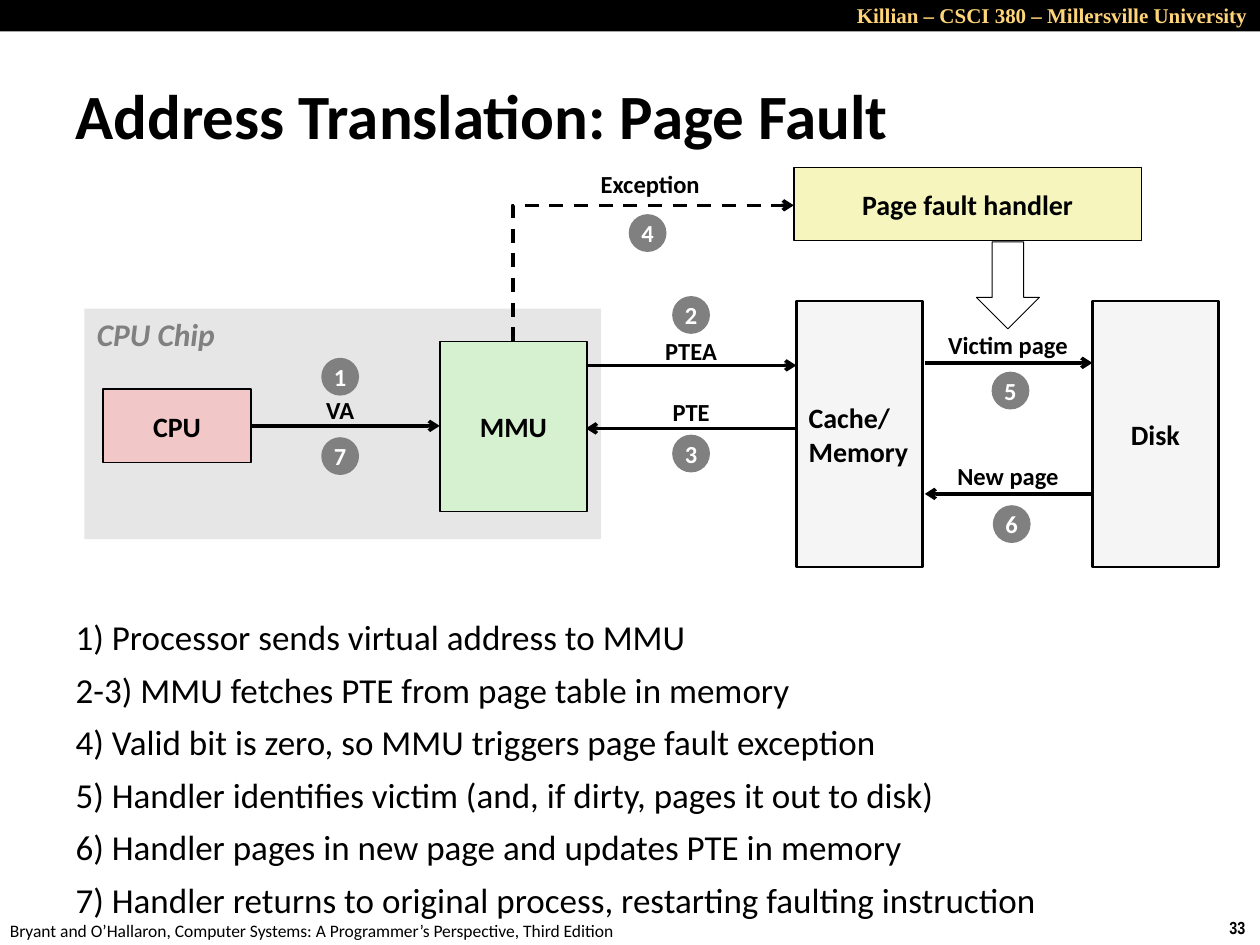
from dataclasses import dataclass

from lxml import etree
from pptx import Presentation
from pptx import util as u
from pptx.dml.color import RGBColor
from pptx.enum import dml, shapes, text
from pptx.oxml.ns import qn

PX = 9144  # EMU per px, 100 px to the inch
SHAPE = shapes.MSO_SHAPE
ALIGN = text.PP_ALIGN
MIDDLE, TOP = text.MSO_ANCHOR.MIDDLE, text.MSO_ANCHOR.TOP


@dataclass(frozen=True)
class Theme:
    font: str = "Calibri"
    header_font: str = "Times New Roman"
    number_font: str = "Arial Narrow"
    ink: str = "000000"
    paper: str = "FFFFFF"
    gold: str = "FFD579"
    chip: str = "E6E6E6"
    grey: str = "808080"
    green: str = "D5F1CF"
    red: str = "F1C7C7"
    yellow: str = "F6F5BD"
    store: str = "F5F5F5"
    title: int = 36
    body: int = 20
    zone: int = 18
    node: int = 16
    label: int = 14
    header: int = 12
    footer: int = 10


T = Theme()

STEPS = (
    "1) Processor sends virtual address to MMU",
    "2-3) MMU fetches PTE from page table in memory",
    "4) Valid bit is zero, so MMU triggers page fault exception",
    "5) Handler identifies victim (and, if dirty, pages it out to disk)",
    "6) Handler pages in new page and updates PTE in memory",
    "7) Handler returns to original process, restarting faulting instruction",
)


def px(*values):
    return [u.Emu(round(v * PX)) for v in values]


def rgb(color):
    return RGBColor.from_string(color)


def write(sp, words, size, color=T.ink, font=T.font, bold=True, italic=False,
          align=ALIGN.CENTER, anchor=MIDDLE, wrap=False):
    tf = sp.text_frame
    tf.text = words
    tf.word_wrap = wrap
    tf.auto_size = text.MSO_AUTO_SIZE.NONE
    tf.vertical_anchor = anchor
    for p in tf.paragraphs:
        p.alignment = align
        for r in p.runs:
            f = r.font
            f.name, f.size, f.bold, f.italic = font, u.Pt(size), bold, italic
            f.color.rgb = rgb(color)
    return tf


def text_box(s, box, words, size, **style):
    write(s.shapes.add_textbox(*px(*box)), words, size, **style)


def block(s, box, fill=None, line=None, kind=SHAPE.RECTANGLE):
    """Preset shape; line is a width in points, None leaves a part unpainted."""
    sp = s.shapes.add_shape(kind, *px(*box))
    sp.shadow.inherit = False
    if fill:
        sp.fill.solid()
        sp.fill.fore_color.rgb = rgb(fill)
    else:
        sp.fill.background()
    if line:
        sp.line.color.rgb = rgb(T.ink)
        sp.line.width = u.Pt(line)
    else:
        sp.line.fill.background()
    return sp


def node(s, box, words, fill, line=1, align=ALIGN.CENTER):
    write(block(s, box, fill, line), words, T.node, align=align)


def label(s, cx, y, w, words):
    text_box(s, (cx - w / 2, y, w, 33), words, T.label)


def badge(s, cx, y, number):
    sp = block(s, (cx - 15, y, 30, 30), T.grey, kind=SHAPE.OVAL)
    write(sp, str(number), T.label, T.paper)


def arrow(s, x1, y1, x2, y2, kind=shapes.MSO_CONNECTOR.STRAIGHT):
    c = s.shapes.add_connector(kind, *px(x1, y1, x2, y2))
    c.line.color.rgb = rgb(T.ink)
    c.line.width = u.Pt(2)
    ln = c.line._get_or_add_ln()
    etree.SubElement(ln, qn("a:tailEnd")).set("type", "arrow")
    etree.SubElement(c._element.spPr, qn("a:effectLst"))
    return c


def dashed_corner(s, x1, y1, x2, y2):
    """Dashed arrow that goes up from the first point, then right to the second."""
    mx, my = (x1 + x2) / 2, (y1 + y2) / 2
    w, h = (y1 - y2) / 2, (x2 - x1) / 2
    c = arrow(s, mx + w, my + h, mx - w, my - h, shapes.MSO_CONNECTOR.ELBOW)
    c.line.dash_style = dml.MSO_LINE.DASH
    spPr = c._element.spPr
    spPr.find(qn("a:xfrm")).set("rot", str(90 * 60000))
    spPr.find(qn("a:prstGeom")).set("prst", "bentConnector2")


def page_frame(s, w, h):
    block(s, (0, 0, w, 25), T.ink)
    text_box(s, (w - 331, -3, 331, 30), "Killian – CSCI 380 – Millersville University",
             T.header, color=T.gold, font=T.header_font, align=ALIGN.RIGHT,
             anchor=TOP, wrap=True)
    text_box(s, (-2, h - 25, 508, 27),
             "Bryant and O’Hallaron, Computer Systems: A Programmer’s Perspective, Third Edition",
             T.footer, bold=False, align=ALIGN.LEFT, anchor=TOP)
    text_box(s, (w - 34, h - 27, 34, 27), "33", T.footer, font=T.number_font,
             align=ALIGN.LEFT, anchor=TOP)


def place(sp, box):
    sp.left, sp.top, sp.width, sp.height = px(*box)


def heading(s, box):
    place(s.shapes.title, box)
    write(s.shapes.title, "Address Translation: Page Fault", T.title,
          align=ALIGN.LEFT, wrap=True)


def step_list(s, box):
    sp = s.placeholders[1]
    place(sp, box)
    tf = write(sp, "\n".join(STEPS), T.body, bold=False, align=ALIGN.LEFT,
               anchor=TOP, wrap=True)
    for p in tf.paragraphs:
        p.line_spacing = 0.73
        p.space_before = u.Pt(12.5)
        pPr = p._p.get_or_add_pPr()
        pPr.set("marL", str(38 * PX))
        pPr.set("indent", str(-38 * PX))
        etree.SubElement(pPr, qn("a:buNone"))


def cpu_chip(s, x, y, w, h):
    block(s, (x, y, w, h), T.chip)
    text_box(s, (x, y, 116, 40), "CPU Chip", T.zone, color=T.grey, italic=True,
             align=ALIGN.LEFT, anchor=TOP)
    node(s, (x + 15, y + 64, 117, 58), "CPU", T.red)
    node(s, (x + 282, y + 26, 117, 135), "MMU", T.green)
    arrow(s, x + 132, y + 93, x + 282, y + 93)
    cx = x + 203
    label(s, cx, y + 64, 42, "VA")
    badge(s, cx, y + 39, 1)
    badge(s, cx, y + 102, 7)


def page_table_lookup(s, x, y, w):
    """Arrows between the MMU and memory; y is that of the upper arrow."""
    cx = x + w / 2
    arrow(s, x, y, x + w, y)
    label(s, cx, y - 28, 61, "PTEA")
    badge(s, cx, y - 55, 2)
    arrow(s, x + w, y + 50, x, y + 50)
    label(s, cx, y + 20, 50, "PTE")
    badge(s, cx, y + 55, 3)


def storage(s, x, y, w, h):
    node(s, (x, y, 100, h), "Cache/\nMemory", T.store, 1.5, ALIGN.LEFT)
    node(s, (x + w - 100, y, 100, h), "Disk", T.store, 1.5)
    left, right, cx = x + 102, x + w - 100, x + 168
    arrow(s, left, y + 49, right, y + 49)
    label(s, cx, y + 18, 116, "Victim page")
    badge(s, cx + 2, y + 56, 5)
    arrow(s, right, y + 153, left, y + 153)
    label(s, cx, y + 122, 101, "New page")
    badge(s, cx + 3, y + 162, 6)


def fault_handler(s, x, y, w, h):
    node(s, (x, y, w, h), "Page fault handler", T.yellow)
    block(s, (x + 145, y + h + 1, 50, 69), line=0.5, kind=SHAPE.DOWN_ARROW)
    dashed_corner(s, x - 223, y + 138, x, y + 30)
    label(s, x - 114, y - 4, 99, "Exception")
    badge(s, x - 116, y + 37, 4)


def main():
    prs = Presentation()
    prs.slide_width, prs.slide_height = px(1000, 750)
    s = prs.slides.add_slide(prs.slide_layouts[1])
    page_frame(s, 1000, 750)
    heading(s, (50, 48, 953, 86))
    step_list(s, (50, 492, 875, 225))
    cpu_chip(s, 67, 245, 410, 183)
    page_table_lookup(s, 465, 290, 167)
    storage(s, 632, 239, 335, 211)
    fault_handler(s, 630, 133, 276, 58)
    prs.save("out.pptx")


if __name__ == "__main__":
    main()
